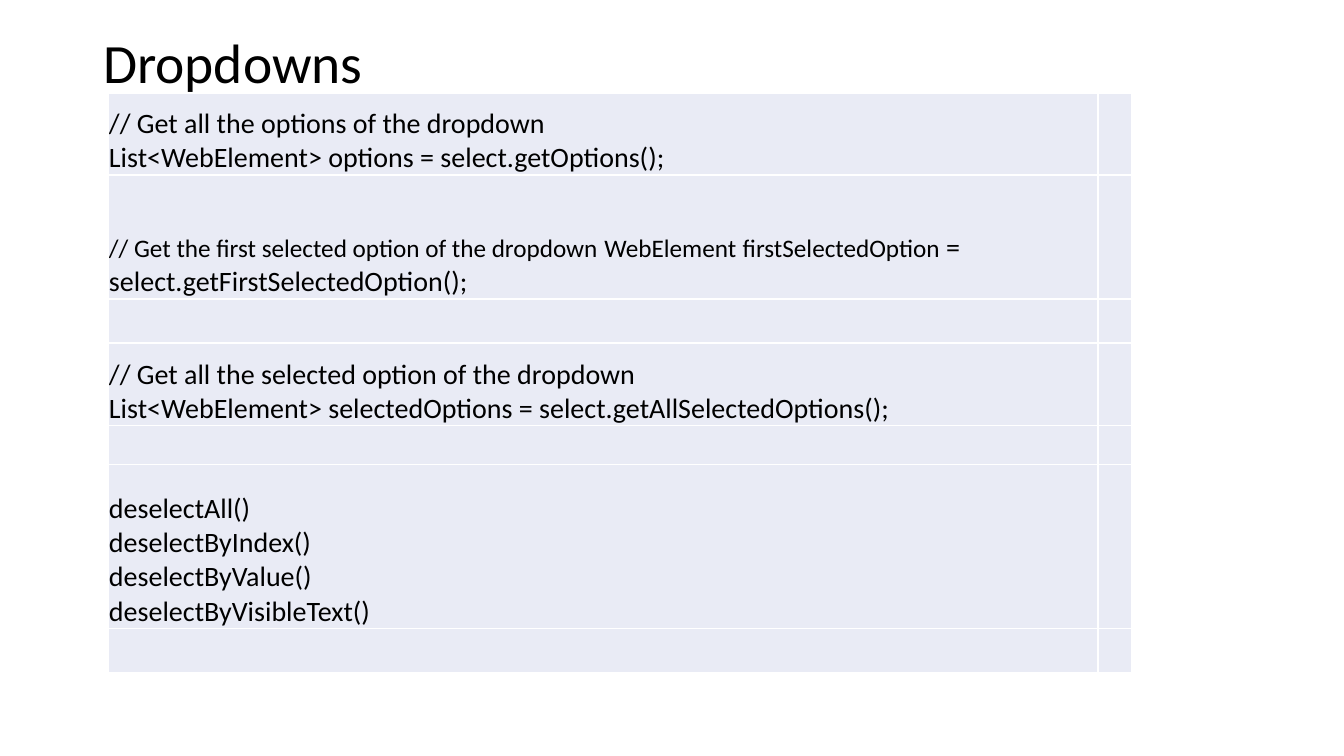
"""Build the Dropdowns slide with its table of select methods."""
from dataclasses import dataclass

import lxml.etree
import pptx
import pptx.dml.color
import pptx.enum.text
import pptx.oxml
import pptx.oxml.ns
import pptx.slide
import pptx.table
import pptx.text.text
import pptx.util

PIXEL = 914400 / 100.8
FONT = "Calibri"
BLACK = pptx.dml.color.RGBColor(0x00, 0x00, 0x00)
WHITE = pptx.dml.color.RGBColor(0xFF, 0xFF, 0xFF)
PALE_BLUE = pptx.dml.color.RGBColor(0xE9, 0xEB, 0xF5)
CODE_SIZE = 20
SMALL_CODE_SIZE = 18
COLUMN_WIDTHS = (990, 34)


@dataclass(frozen=True)
class Fragment:
    """A stretch of code text in one size."""
    text: str
    size: float = CODE_SIZE


@dataclass(frozen=True)
class CodeRow:
    """A table row with a height in pixels and lines of fragments."""
    height: int
    lines: tuple[tuple[Fragment, ...], ...] = ()


def plain_lines(*texts: str) -> tuple[tuple[Fragment, ...], ...]:
    """Turn each text into a line of one fragment."""
    return tuple((Fragment(text),) for text in texts)


FIRST_SELECTED_LINE = (
    Fragment("// Get the first selected option of the dropdown", SMALL_CODE_SIZE),
    Fragment(" "),
    Fragment("WebElement", SMALL_CODE_SIZE),
    Fragment(" "),
    Fragment("firstSelectedOption", SMALL_CODE_SIZE),
    Fragment(" = select.getFirstSelectedOption();"),
)
CODE_ROWS = (
    CodeRow(82, plain_lines("// Get all the options of the dropdown",
                            "List<WebElement> options = select.getOptions();")),
    CodeRow(124, (FIRST_SELECTED_LINE,)),
    CodeRow(44),
    CodeRow(83, plain_lines("// Get all the selected option of the dropdown",
                            "List<WebElement> selectedOptions = select.getAllSelectedOptions();")),
    CodeRow(39),
    CodeRow(164, plain_lines("deselectAll()", "deselectByIndex()",
                             "deselectByValue()", "deselectByVisibleText()")),
    CodeRow(44),
)


def pixels(count: int) -> pptx.util.Emu:
    """Convert whole pixels to EMU."""
    return pptx.util.Emu(round(count * PIXEL))


def format_runs(paragraph: pptx.text.text._Paragraph, sizes: list[float]) -> None:
    """Give the runs of a paragraph their font, colour and sizes."""
    for run, size in zip(paragraph.runs, sizes):
        run.font.name = FONT
        run.font.size = pptx.util.Pt(size)
        run.font.color.rgb = BLACK


def add_title(slide: pptx.slide.Slide, text: str) -> None:
    """Place and format the slide title."""
    title = slide.shapes.title
    title.left, title.top, title.width, title.height = map(pixels, (93, 40, 1159, 52))
    frame = title.text_frame
    frame.text = text
    frame.auto_size = pptx.enum.text.MSO_AUTO_SIZE.NONE
    frame.vertical_anchor = pptx.enum.text.MSO_ANCHOR.MIDDLE
    paragraph = frame.paragraphs[0]
    paragraph.alignment = pptx.enum.text.PP_ALIGN.LEFT
    paragraph.line_spacing = 0.9
    format_runs(paragraph, [39.6])


def add_borders(cell: pptx.table._Cell) -> None:
    """Draw a thin white line on every side of a cell."""
    properties = cell._tc.get_or_add_tcPr()
    for position, side in enumerate(("lnL", "lnR", "lnT", "lnB")):
        line = pptx.oxml.parse_xml(
            f'<a:{side} {pptx.oxml.ns.nsdecls("a")} w="12700"><a:solidFill>'
            f'<a:srgbClr val="{WHITE}"/></a:solidFill></a:{side}>')
        properties.insert(position, line)


def format_cell(cell: pptx.table._Cell) -> None:
    """Set the fill, margins, anchor and borders of a cell."""
    cell.fill.solid()
    cell.fill.fore_color.rgb = PALE_BLUE
    cell.margin_left = cell.margin_right = cell.margin_top = pixels(1)
    cell.margin_bottom = 0
    cell.vertical_anchor = pptx.enum.text.MSO_ANCHOR.BOTTOM
    add_borders(cell)


def write_lines(cell: pptx.table._Cell, lines: tuple[tuple[Fragment, ...], ...]) -> None:
    """Write each line of fragments as a paragraph."""
    frame = cell.text_frame
    for index, line in enumerate(lines):
        paragraph = frame.add_paragraph() if index else frame.paragraphs[0]
        for fragment in line:
            paragraph.add_run().text = fragment.text
        format_runs(paragraph, [fragment.size for fragment in line])


def add_code_table(slide: pptx.slide.Slide) -> None:
    """Add the table of code samples."""
    total_height = sum(row.height for row in CODE_ROWS)
    frame = slide.shapes.add_table(
        len(CODE_ROWS), len(COLUMN_WIDTHS), pixels(108), pixels(93),
        pixels(sum(COLUMN_WIDTHS)), pixels(total_height))
    table = frame.table
    table.first_row = table.horz_banding = False
    for column, width in zip(table.columns, COLUMN_WIDTHS):
        column.width = pixels(width)
    for row, code_row in zip(table.rows, CODE_ROWS):
        row.height = pixels(code_row.height)
        for cell in row.cells:
            format_cell(cell)
        write_lines(row.cells[0], code_row.lines)


def main() -> None:
    """Build and save the presentation."""
    presentation = pptx.Presentation()
    presentation.slide_width = pixels(1344)
    presentation.slide_height = pixels(756)
    slide = presentation.slides.add_slide(presentation.slide_layouts[5])
    add_title(slide, "Dropdowns")
    add_code_table(slide)
    presentation.save("out.pptx")


main()
